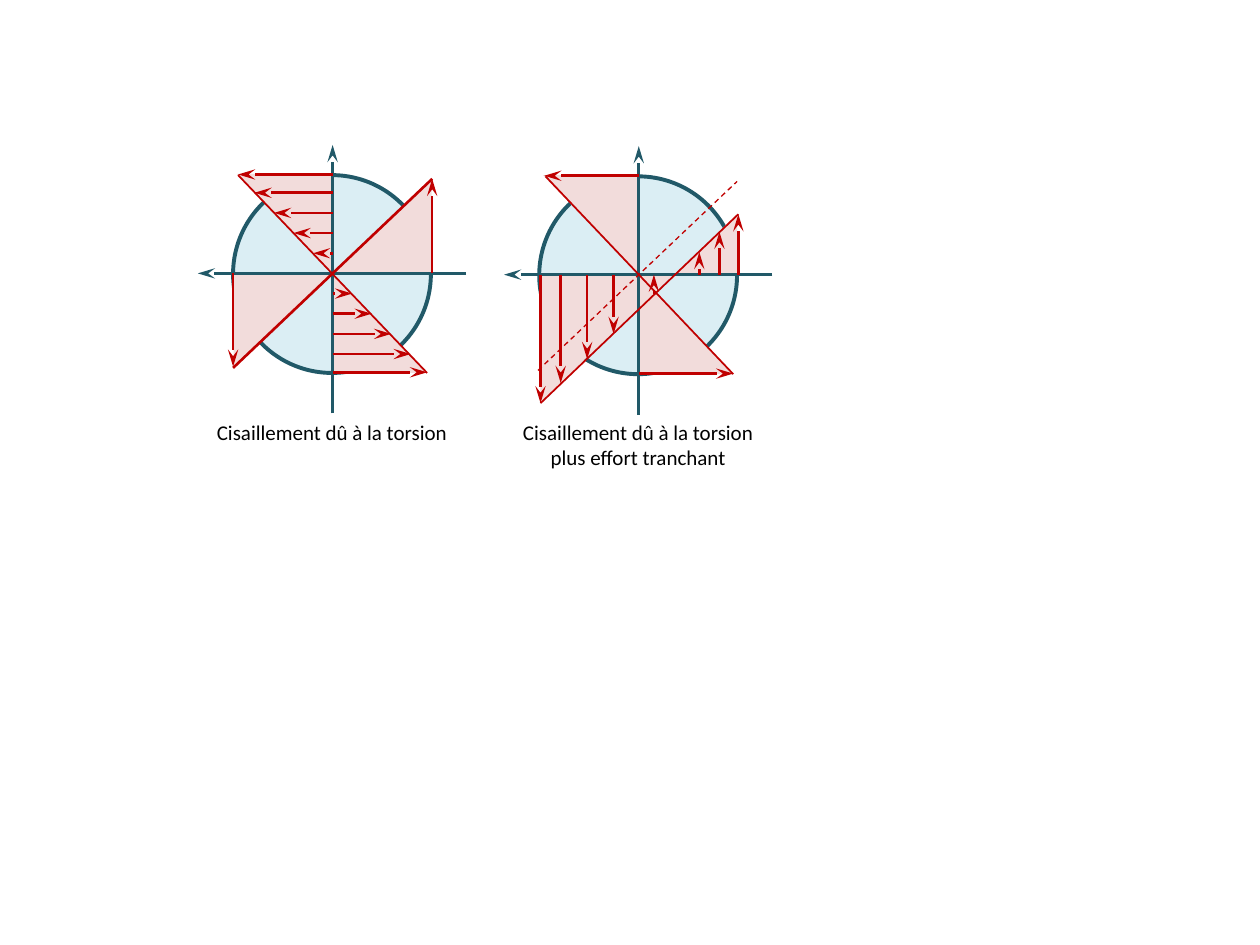
from pptx import Presentation
from pptx.dml.color import RGBColor
from pptx.enum.dml import MSO_LINE
from pptx.enum.shapes import MSO_CONNECTOR, MSO_SHAPE
from pptx.enum.text import PP_ALIGN
from pptx.oxml.ns import qn
from pptx.util import Inches, Pt
from lxml import etree

LINE = MSO_CONNECTOR.STRAIGHT
DISC, WEDGE = MSO_SHAPE.OVAL, MSO_SHAPE.RIGHT_TRIANGLE
DASH, CENTER = MSO_LINE.DASH, PP_ALIGN.CENTER
HEX = {"disc": "DBEEF4", "axis": "215968", "wedge": "F2DCDB",
       "stress": "C00000", "text": "000000"}
RGB = {name: RGBColor.from_string(code) for name, code in HEX.items()}

deck = Presentation()
deck.slide_width, deck.slide_height = Inches(10), Inches(7.5)
shapes = deck.slides.add_slide(deck.slide_layouts[6]).shapes


def add_line(x1, y1, x2, y2, color="stress", width=1.5, arrow=True):
    line = shapes.add_connector(LINE, *map(Inches, (x1, y1, x2, y2)))
    line.line.color.rgb = RGB[color]
    line.line.width = Pt(width)
    props = line._element.spPr
    if arrow:
        etree.SubElement(props.find(qn("a:ln")), qn("a:tailEnd"),
                         type="stealth", w="med", len="lg")
    etree.SubElement(props, qn("a:effectLst"))
    return line


def add_area(kind, color, left, top, width, height, turn=0, flip=False):
    area = shapes.add_shape(kind, *map(Inches, (left, top, width, height)))
    area.shadow.inherit = False
    area.fill.solid()
    area.fill.fore_color.rgb = RGB[color]
    area.line.fill.background()
    area.rotation = turn
    if flip:
        frame = area._element.spPr.find(qn("a:xfrm"))
        frame.set("flipH", "1")
        frame.set("flipV", "1")
    return area


# Each figure: centre, lower-left and upper-right wedges (left, top, width,
# height), and the caption with its height
SIZE, HALF = 1.57, 0.75
figures = [
    (2.64, 2.17, (1.87, 2.15, HALF, 0.78), (2.66, 1.4, HALF, 0.78),
     "Cisaillement dû à la torsion", 0.3),
    (5.07, 2.18, (4.31, 2.15, 1.02, 1.06), (5.36, 1.69, 0.48, 0.5),
     "Cisaillement dû à la torsion plus effort tranchant", 0.5),
]

# Sections, wedges, axes and captions
for x, y, low, high, words, tall in figures:
    disc = add_area(DISC, "disc", x - 0.79, y - 0.78, SIZE, SIZE)
    disc.line.color.rgb = RGB["axis"]
    disc.line.width = Pt(2.25)
    add_area(WEDGE, "wedge", x - 0.76, y - 0.79, HALF, 0.78, flip=True)
    add_area(WEDGE, "wedge", x, y + 0.01, HALF, 0.78)
    add_area(WEDGE, "wedge", *low, turn=270, flip=True)
    add_area(WEDGE, "wedge", *high, turn=270)
    add_line(x + 1.06, y, x - 1.07, y, "axis")
    add_line(x, y + 1.11, x, y - 1.02, "axis")
    for side in (-1, 1):
        add_line(x, y + side * 0.785, x + side * HALF, y + side * 0.785)

    box = shapes.add_textbox(*map(Inches, (x - 1.07, 3.28, 2.13, tall)))
    box.text_frame.word_wrap = True
    para = box.text_frame.paragraphs[0]
    para.text = words
    para.alignment = CENTER
    para.font.name = "Calibri"
    para.font.size = Pt(12)
    para.font.color.rgb = RGB["text"]

# Torsion: equal steps along the vertical axis, ends on the diagonal
x, y = figures[0][:2]
for side in (-1, 1):
    for step in range(1, 5):
        level = y + side * 0.16 * step
        add_line(x, level, x + side * 0.155 * step, level)
add_line(1.89, 1.39, 3.39, 2.96, width=1, arrow=False)
add_line(1.85, 2.92, 3.43, 1.42, arrow=False)
add_line(3.43, y, 3.43, 1.42)
add_line(1.85, y, 1.85, 2.91)

# Torsion plus shear: arrows from the horizontal axis to the shifted line
y = figures[1][1]
for x, tip in [(4.29, 3.2), (4.45, 3.04), (4.66, 2.85), (4.87, 2.65),
               (5.55, 2), (5.71, 1.84), (5.86, 1.7)]:
    add_line(x, y, x, tip)
add_line(5.19, 2.33, 5.19, y)
add_line(4.29, 3.2, 5.86, 1.7, width=1, arrow=False)
add_line(4.33, 1.4, 5.82, 2.97, width=1, arrow=False)
torsion = add_line(4.27, 2.94, 5.85, 1.44, width=0.75, arrow=False)
torsion.line.dash_style = DASH

deck.save("out.pptx")
